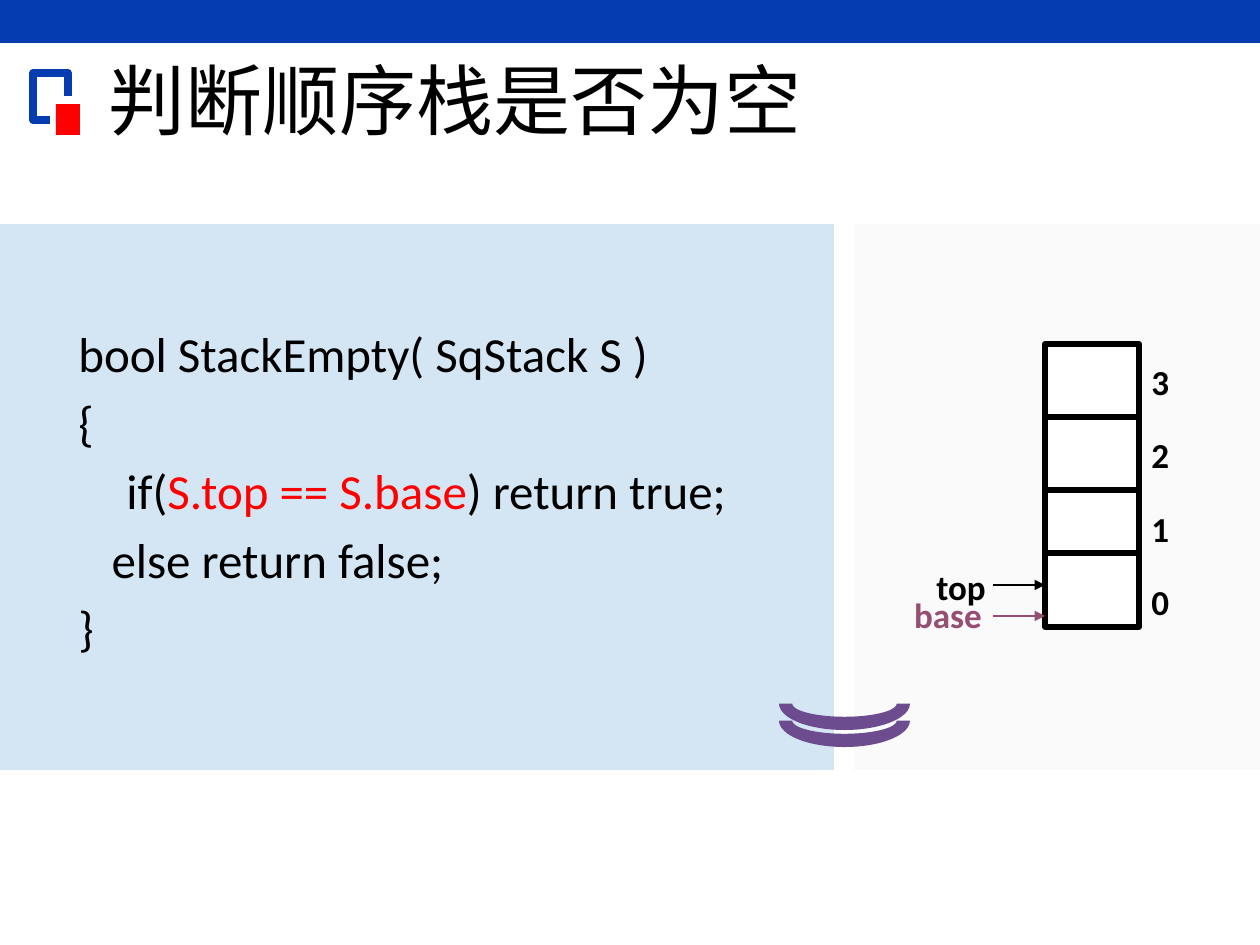
from lxml.etree import SubElement
from pptx import Presentation
from pptx.dml.color import RGBColor
from pptx.enum.shapes import MSO_CONNECTOR, MSO_SHAPE
from pptx.enum.text import MSO_ANCHOR, PP_ALIGN
from pptx.oxml.ns import qn
from pptx.util import Emu, Pt

PX = 914400 / 126
COLORS = {
    "black": "000000",
    "white": "FFFFFF",
    "blue": "053CAF",
    "red": "FF0000",
    "code_panel": "D4E6F4",
    "stack_panel": "FAFAFA",
    "base": "954F72",
    "arc": "6C4C8F",
}
CODE_LINES = [
    [("bool StackEmpty( SqStack S )", "black")],
    [("{", "black")],
    [("\tif(", "black"), ("S.top == S.base", "red"), (") return true;", "black")],
    [("   else return false;", "black")],
    [("}", "black")],
]


def px(*lengths):
    return [Emu(round(length * PX)) for length in lengths]


def color(name):
    return RGBColor.from_string(COLORS[name])


def set_line(line, name, width):
    line.color.rgb = color(name)
    line.width = Pt(width)


def add_block(slide, box, fill, outline=None, preset=MSO_SHAPE.RECTANGLE):
    block = slide.shapes.add_shape(preset, *px(*box))
    block.shadow.inherit = False
    block.fill.solid()
    block.fill.fore_color.rgb = color(fill)
    if outline:
        set_line(block.line, outline, 3)
    else:
        block.line.fill.background()
    return block


def add_bracket(slide):
    corners = [(50, 120), (33, 120), (33, 73), (68, 73), (68, 96)]
    points = [tuple(px(*corner)) for corner in corners]
    builder = slide.shapes.build_freeform(*points[0], scale=1.0)
    builder.add_line_segments(points[1:], close=False)
    bracket = builder.convert_to_shape()
    bracket.shadow.inherit = False
    bracket.fill.background()
    set_line(bracket.line, "blue", 4.5)


def add_line(slide, start, end, name, width, arrow=False):
    connector = slide.shapes.add_connector(
        MSO_CONNECTOR.STRAIGHT, *px(*start, *end))
    set_line(connector.line, name, width)
    properties = connector._element.spPr
    if arrow:
        SubElement(properties.find(qn("a:ln")), qn("a:tailEnd"), type="triangle")
    SubElement(properties, qn("a:effectLst"))


def add_run(paragraph, text, name, **font_format):
    run = paragraph.add_run()
    run.text = text
    run.font.color.rgb = color(name)
    for attribute, value in {"name": "Calibri", **font_format}.items():
        setattr(run.font, attribute, value)


def add_text_frame(slide, box, anchor=MSO_ANCHOR.TOP):
    frame = slide.shapes.add_textbox(*px(*box)).text_frame
    frame.word_wrap = True
    frame.vertical_anchor = anchor
    return frame


def add_label(slide, box, text, name="black", align=PP_ALIGN.LEFT):
    paragraph = add_text_frame(slide, box).paragraphs[0]
    paragraph.alignment = align
    add_run(paragraph, text, name, size=Pt(20), bold=True)


def add_title(slide):
    frame = add_text_frame(slide, (96, 34, 781, 129), MSO_ANCHOR.MIDDLE)
    add_run(frame.paragraphs[0], "判断顺序栈是否为空", "black", size=Pt(44))


def add_code(slide):
    frame = add_text_frame(slide, (66, 324, 694, 333))
    hanging = px(48)[0]
    for number, pieces in enumerate(CODE_LINES):
        paragraph = frame.add_paragraph() if number else frame.paragraphs[0]
        properties = paragraph._p.get_or_add_pPr()
        properties.set("marL", str(hanging))
        properties.set("indent", str(-hanging))
        if number:
            paragraph.space_before = Pt(5.4)
        else:
            paragraph.line_spacing = 0.9
        for text, name in pieces:
            add_run(paragraph, text, name, size=Pt(28))


def add_stack(slide):
    left, top, width, height = 1045, 344, 94, 283
    add_block(slide, (left, top, width, height), "white", "black")
    for y in (417, 490, 553):
        add_line(slide, (left, y), (left + width, y), "black", 3)
    for row, index in enumerate("3210"):
        add_label(slide, (left + width, 354 + row * 147 // 2, 42, 54), index)
    pointers = [("base", "base", 864, 587, 616), ("top", "black", 877, 559, 585)]
    for text, name, label_left, label_top, arrow_y in pointers:
        add_label(slide, (label_left, label_top, 168, 54), text, name,
                  PP_ALIGN.CENTER)
        add_line(slide, (993, arrow_y), (left, arrow_y), name, 1.5, arrow=True)


def main():
    presentation = Presentation()
    presentation.slide_width, presentation.slide_height = px(1260, 945)
    slide = presentation.slides.add_slide(presentation.slide_layouts[6])

    add_block(slide, (0, 0, 1260, 43), "blue")
    add_bracket(slide)
    add_block(slide, (56, 104, 24, 31), "red")
    add_block(slide, (0, 224, 834, 546), "code_panel")
    add_block(slide, (854, 224, 406, 546), "stack_panel")
    add_title(slide)
    add_code(slide)
    add_stack(slide)
    for y in (694, 677):
        arc = add_block(slide, (779, y, 131, 53), "arc",
                        preset=MSO_SHAPE.BLOCK_ARC)
        arc.rotation = 180

    presentation.save("out.pptx")


if __name__ == "__main__":
    main()
